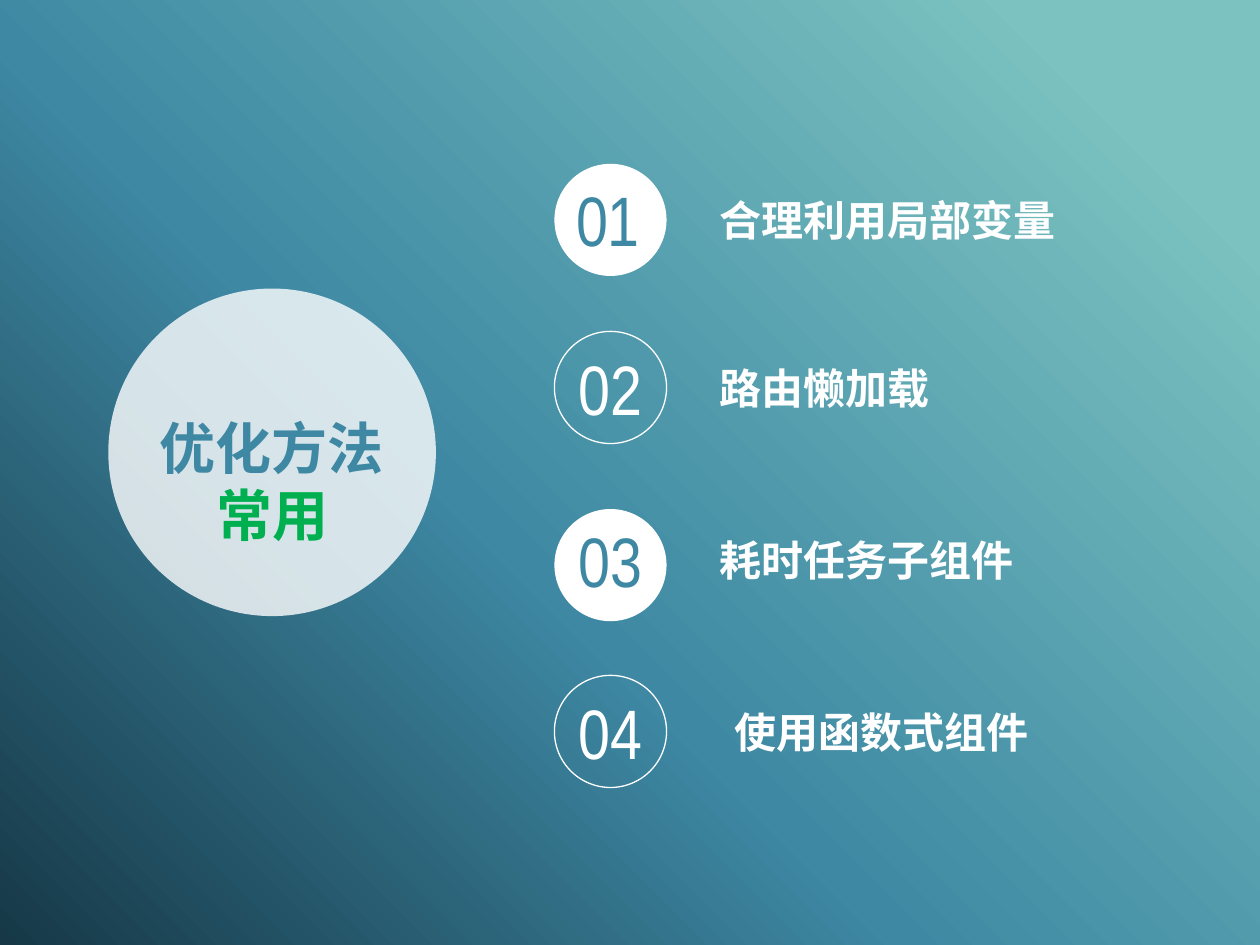
from copy import deepcopy
from dataclasses import dataclass

from lxml import etree
from pptx import Presentation
from pptx.dml.color import RGBColor
from pptx.enum.shapes import MSO_SHAPE
from pptx.enum.text import MSO_AUTO_SIZE, PP_ALIGN
from pptx.oxml.ns import qn
from pptx.util import Inches, Pt

RECT, OVAL = MSO_SHAPE.RECTANGLE, MSO_SHAPE.OVAL
LEFT, CENTER = PP_ALIGN.LEFT, PP_ALIGN.CENTER
GROW = MSO_AUTO_SIZE.SHAPE_TO_FIT_TEXT


@dataclass(frozen=True)
class Theme:
    white: str = "FFFFFF"
    blue: str = "3E88A3"
    green: str = "00B050"
    stops: tuple = ((0, "163847"), (0.41, "3E88A3"), (0.89, "7BC2C0"))
    head: int = 32
    num: int = 40
    body: int = 24
    cjk: str = "Noto Sans CJK SC"
    slim: str = "Arial Narrow"


@dataclass(frozen=True)
class Item:
    num: str
    label: str
    top: float
    num_top: float
    label_top: float
    solid: bool
    num_left: float = 4.4
    label_left: float = 5.71


THEME = Theme()
DISC_LEFT, DISC_SIZE = 4.4, 0.89
ITEMS = (
    Item("01", "合理利用局部变量", 1.3, 1.4, 1.54, True, num_left=4.38),
    Item("02", "路由懒加载", 2.63, 2.74, 2.88, False),
    Item("03", "耗时任务子组件", 4.04, 4.11, 4.24, True),
    Item("04", "使用函数式组件", 5.36, 5.47, 5.61, False, label_left=5.83),
)


def rgb(code: str) -> RGBColor:
    return RGBColor.from_string(code)


def add_text(slide, lines: list[tuple[str, str]], box: tuple, *, size: int,
             font: str, bold: bool = False, align=LEFT) -> None:
    """Write one paragraph for each (text, colour) pair."""
    frame = slide.shapes.add_textbox(*map(Inches, box)).text_frame
    frame.word_wrap = True
    frame.auto_size = GROW
    frame.margin_left = frame.margin_right = 0
    frame.margin_top = frame.margin_bottom = 0
    for i, (text, color) in enumerate(lines):
        para = frame.add_paragraph() if i else frame.paragraphs[0]
        para.alignment = align
        run = para.add_run()
        run.text = text
        run.font.size = Pt(size)
        run.font.bold = bold
        run.font.color.rgb = rgb(color)
        run.font.name = font
        east = etree.SubElement(run.font._element, qn("a:ea"))
        east.set("typeface", font)


def add_disc(slide, left: float, top: float, size: float, *,
             solid: bool = True, alpha: int = 100) -> None:
    """Draw a white circle, filled or as an outline; alpha is in percent."""
    disc = slide.shapes.add_shape(OVAL, *map(Inches, (left, top, size, size)))
    disc.shadow.inherit = False
    if not solid:
        disc.fill.background()
        disc.line.color.rgb = rgb(THEME.white)
        disc.line.width = Pt(0.75)
        return
    disc.fill.solid()
    disc.fill.fore_color.rgb = rgb(THEME.white)
    disc.line.fill.background()
    if alpha < 100:
        color = disc._element.spPr.find(".//" + qn("a:srgbClr"))
        etree.SubElement(color, qn("a:alpha")).set("val", str(alpha * 1000))


def add_back(slide, width: int, height: int) -> None:
    """Cover the slide with a gradient rising to the top right."""
    back = slide.shapes.add_shape(RECT, 0, 0, width, height)
    back.shadow.inherit = False
    back.line.fill.background()
    back.fill.gradient()
    back.fill.gradient_angle = 45
    stops = back._element.spPr.find(".//" + qn("a:gsLst"))
    stops.append(deepcopy(stops[-1]))
    for stop, (place, color) in zip(back.fill.gradient_stops, THEME.stops):
        stop.position = place
        stop.color.rgb = rgb(color)


def add_item(slide, item: Item) -> None:
    add_disc(slide, DISC_LEFT, item.top, DISC_SIZE, solid=item.solid)
    color = THEME.blue if item.solid else THEME.white
    add_text(slide, [(item.num, color)],
             (item.num_left, item.num_top, DISC_SIZE, 0.67),
             size=THEME.num, font=THEME.slim, align=CENTER)
    add_text(slide, [(item.label, THEME.white)],
             (item.label_left, item.label_top, 3.34, 0.4),
             size=THEME.body, font=THEME.cjk, bold=True)


def main() -> None:
    deck = Presentation()
    deck.slide_width, deck.slide_height = Inches(10), Inches(7.5)
    slide = deck.slides.add_slide(deck.slide_layouts[6])
    add_back(slide, deck.slide_width, deck.slide_height)
    add_disc(slide, 0.86, 2.29, 2.6, alpha=80)
    add_text(slide, [("优化方法", THEME.blue), ("常用", THEME.green)],
             (1.16, 3.28, 2, 1.9), size=THEME.head, font=THEME.cjk,
             bold=True, align=CENTER)
    for item in ITEMS:
        add_item(slide, item)
    deck.save("out.pptx")


if __name__ == "__main__":
    main()
